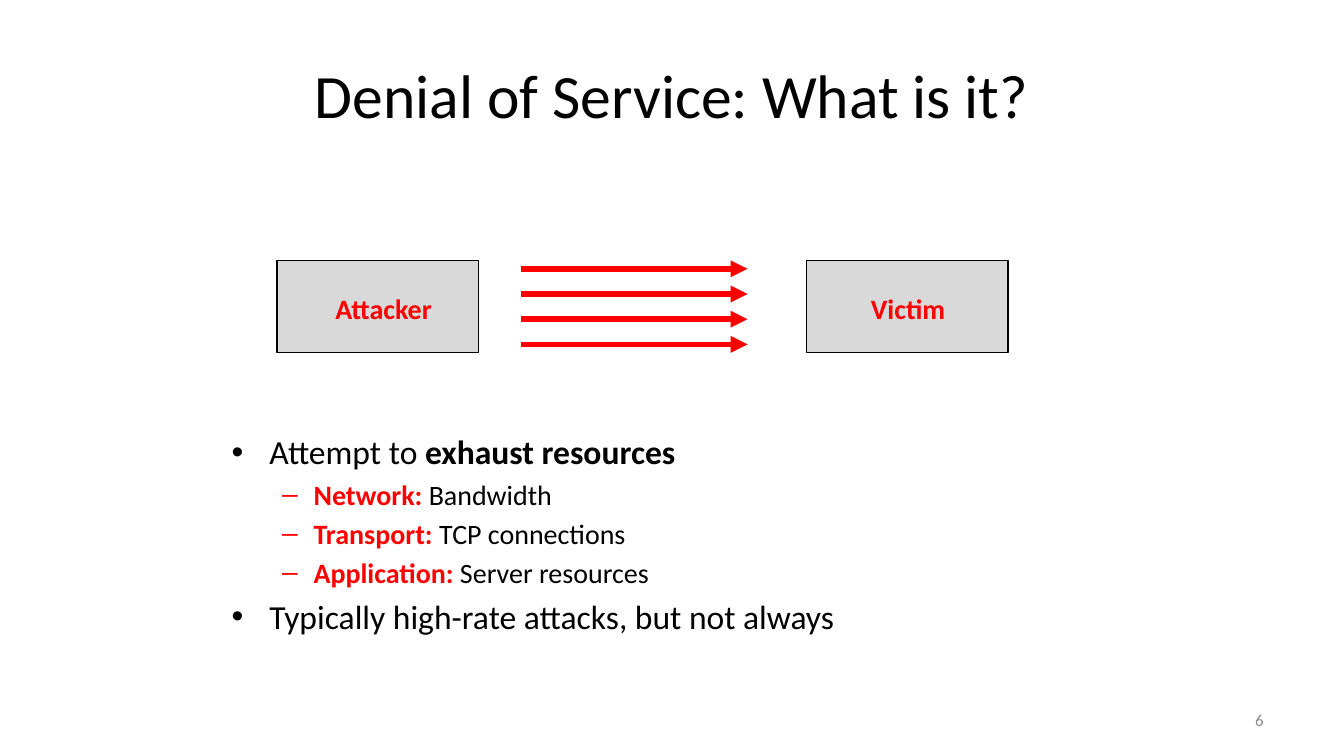
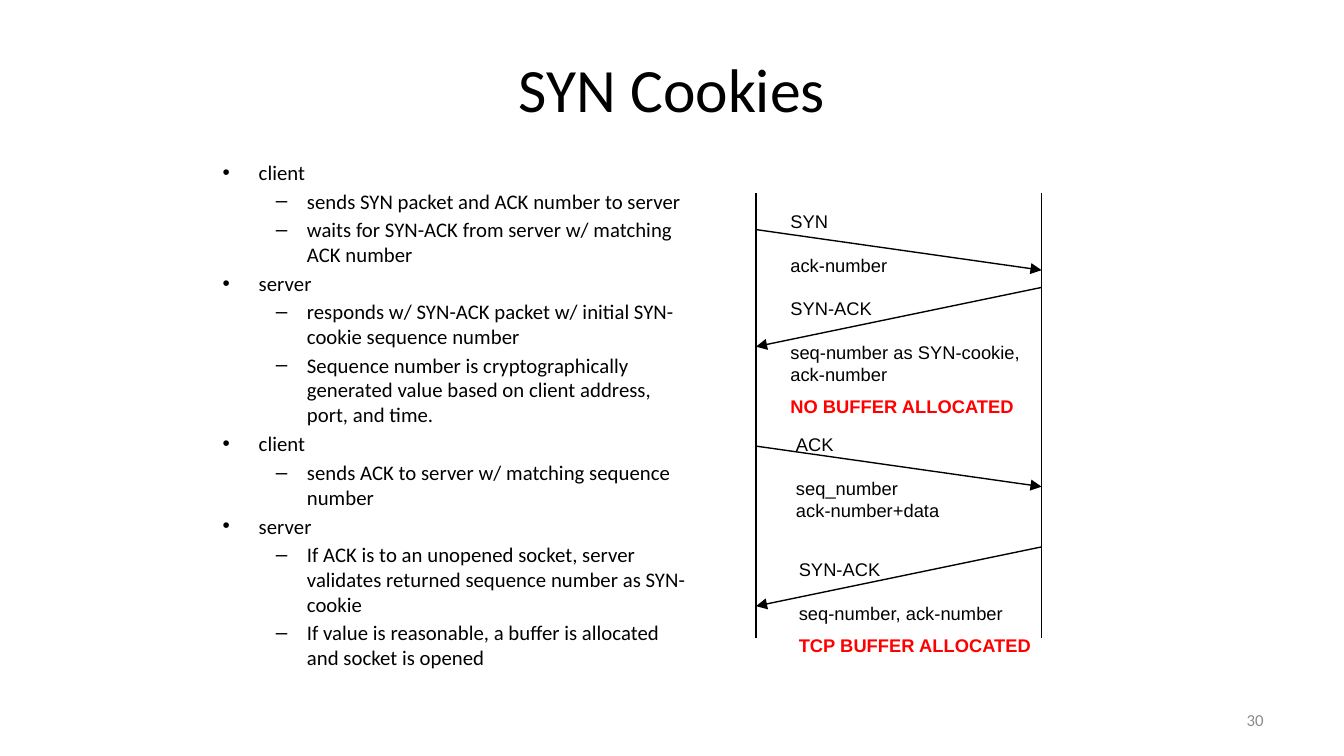
from dataclasses import dataclass
from typing import Optional

from lxml.etree import SubElement
from pptx import Presentation
from pptx.dml.color import RGBColor
from pptx.enum.shapes import MSO_CONNECTOR as Connector, MSO_SHAPE as Shape
from pptx.enum.text import MSO_ANCHOR as Anchor, PP_ALIGN as Align
from pptx.oxml.ns import qn
from pptx.util import Pt

BLACK = RGBColor(0, 0, 0)
WHITE = RGBColor(255, 255, 255)
RED = RGBColor(255, 0, 0)
LIGHT_GRAY = RGBColor(0xD9, 0xD9, 0xD9)
NUMBER_GRAY = RGBColor(0x8C, 0x8C, 0x8C)

BODY_FONT = "Calibri"
DIAGRAM_FONT = "Arial"
WIDE_INSETS = (7.2, 3.6)
TIGHT_INSETS = (5.4, 2.7)


@dataclass
class Run:
    text: str
    color: RGBColor = BLACK
    bold: bool = False


@dataclass
class Line:
    runs: list
    size: float
    before: float = 0
    spacing: Optional[float] = None
    bullet: Optional[str] = None
    margin: float = 0
    hanging: float = 0


@dataclass
class BulletStyle:
    size: float
    before: float
    bullet: str
    margin: float
    hanging: float

    def line(self, *runs):
        return Line(list(runs), self.size, self.before, bullet=self.bullet,
                    margin=self.margin, hanging=self.hanging)


def set_bullet(paragraph, line):
    properties = paragraph._p.get_or_add_pPr()
    properties.set("marL", str(Pt(line.margin)))
    properties.set("indent", str(-Pt(line.hanging)))
    SubElement(properties, qn("a:buFont")).set("typeface", "Arial")
    SubElement(properties, qn("a:buChar")).set("char", line.bullet)


def write_text(shape, lines, font=BODY_FONT, align=Align.LEFT,
               anchor=Anchor.TOP, insets=WIDE_INSETS):
    frame = shape.text_frame
    frame.word_wrap = True
    frame.vertical_anchor = anchor
    frame.margin_left = frame.margin_right = Pt(insets[0])
    frame.margin_top = frame.margin_bottom = Pt(insets[1])
    for index, line in enumerate(lines):
        paragraph = frame.add_paragraph() if index else frame.paragraphs[0]
        paragraph.alignment = align
        paragraph.space_before = Pt(line.before)
        if line.spacing:
            paragraph.line_spacing = line.spacing
        if line.bullet:
            set_bullet(paragraph, line)
        for part in line.runs:
            run = paragraph.add_run()
            run.text = part.text
            run.font.name = font
            run.font.size = Pt(line.size)
            run.font.bold = part.bold
            run.font.color.rgb = part.color


def add_text(slide, box, lines, **text_format):
    shape = slide.shapes.add_textbox(*map(Pt, box))
    write_text(shape, lines, **text_format)


def add_rectangle(slide, box, outline=None):
    shape = slide.shapes.add_shape(Shape.RECTANGLE, *map(Pt, box))
    shape.shadow.inherit = False
    shape.fill.solid()
    shape.fill.fore_color.rgb = LIGHT_GRAY
    if outline is None:
        shape.line.fill.background()
    else:
        shape.line.color.rgb = outline
        shape.line.width = Pt(0.75)
    return shape


def add_host(slide, left, name, label_left, label_width, align):
    add_rectangle(slide, (left, 139.5, 108, 49.5), outline=BLACK)
    label = add_rectangle(slide, (label_left, 152.5, label_width, 25))
    write_text(label, [Line([Run(name, RED, True)], 15)], align=align)


def add_line(slide, start, end, color=BLACK, width=0.75, arrow=False):
    connector = slide.shapes.add_connector(
        Connector.STRAIGHT, *map(Pt, start + end))
    connector.line.color.rgb = color
    connector.line.width = Pt(width)
    if arrow:
        outline = connector.line._get_or_add_ln()
        SubElement(outline, qn("a:tailEnd")).set("type", "triangle")
    SubElement(connector._element.spPr, qn("a:effectLst"))


def add_slide(presentation, title, number, title_box, insets=WIDE_INSETS):
    slide = presentation.slides.add_slide(presentation.slide_layouts[6])
    slide.background.fill.solid()
    slide.background.fill.fore_color.rgb = WHITE
    add_text(slide, (516, 375, 168, 21.5),
             [Line([Run(number, NUMBER_GRAY)], 9)],
             align=Align.RIGHT, anchor=Anchor.MIDDLE)
    add_text(slide, title_box, [Line([Run(title)], 33)],
             align=Align.CENTER, anchor=Anchor.MIDDLE, insets=insets)
    return slide


def add_message_label(slide, box, packet, fields, note=None):
    size = 9.8
    lines = [Line([Run(packet)], size, spacing=0.93)]
    for index, field in enumerate(fields):
        lines.append(Line([Run(field)], size, before=0 if index else 11.5))
    if note:
        lines.append(Line([Run(note, RED, True)], size, before=5.3))
    add_text(slide, box, lines, font=DIAGRAM_FONT, insets=TIGHT_INSETS)


def build_denial_of_service(presentation):
    slide = add_slide(presentation, "Denial of Service: What is it?", "6",
                      (36, 16.5, 648, 67.5))
    point = BulletStyle(18, 3.6, "•", 20.25, 20.25)
    detail = BulletStyle(15, 3, "–", 43.9, 16.9)
    layers = [("Network:", " Bandwidth"),
              ("Transport:", " TCP connections"),
              ("Application:", " Server resources")]
    lines = [point.line(Run("Attempt to "), Run("exhaust resources", bold=True))]
    lines += [detail.line(Run(layer, RED, True), Run(resource))
              for layer, resource in layers]
    lines.append(point.line(Run("Typically high-rate attacks, but not always")))
    add_text(slide, (117, 227.5, 486, 123), lines)

    add_host(slide, 148.5, "Attacker", 166.5, 78, Align.CENTER)
    add_host(slide, 432, "Victim", 459.5, 69, Align.LEFT)
    for index in range(4):
        top = 144 + 13.5 * index
        add_line(slide, (279, top), (400.5, top), RED, 3, arrow=True)


def build_syn_cookies(presentation):
    slide = add_slide(presentation, "SYN Cookies", "30",
                      (130.5, 13.5, 459, 67.5), TIGHT_INSETS)
    party = BulletStyle(11.1, 2.2, "•", 25.2, 19.4)
    step = BulletStyle(11.1, 1.9, "–", 51, 16.6)
    exchange = [
        ("client", ["sends SYN packet and ACK number to server",
                    "waits for SYN-ACK from server w/ matching ACK number"]),
        ("server", ["responds w/ SYN-ACK packet w/ initial SYN-cookie "
                    "sequence number",
                    "Sequence number is cryptographically generated value "
                    "based on client address, port, and time."]),
        ("client", ["sends ACK to server w/ matching sequence number"]),
        ("server", ["If ACK is to an unopened socket, server validates "
                    "returned sequence number as SYN-cookie",
                    "If value is reasonable, a buffer is allocated and "
                    "socket is opened"]),
    ]
    lines = []
    for name, steps in exchange:
        lines.append(party.line(Run(name)))
        lines += [step.line(Run(text)) for text in steps]
    add_text(slide, (108, 83, 270, 281.5), lines, insets=TIGHT_INSETS)

    client, server = 405, 558
    for lifeline in (client, server):
        add_line(slide, (lifeline, 103.5), (lifeline, 342))
    for sender, sent, receiver, received in [
            (client, 123, server, 144.75), (server, 154, client, 185.75),
            (client, 239, server, 260.75), (server, 293, client, 324.75)]:
        add_line(slide, (sender, sent), (receiver, received), arrow=True)

    add_message_label(slide, (418, 111, 68, 39.5), "SYN", ["ack-number"])
    add_message_label(slide, (418, 157.5, 140, 68.5), "SYN-ACK",
                      ["seq-number as SYN-cookie,", "ack-number"],
                      "NO BUFFER ALLOCATED")
    add_message_label(slide, (421, 230.5, 104.5, 52), "ACK",
                      ["seq_number", "ack-number+data"])
    add_message_label(slide, (422.5, 297.5, 140, 57), "SYN-ACK",
                      ["seq-number, ack-number"], "TCP BUFFER ALLOCATED")


def main():
    presentation = Presentation()
    presentation.slide_width = Pt(720)
    presentation.slide_height = Pt(405)
    build_denial_of_service(presentation)
    build_syn_cookies(presentation)
    presentation.save("out.pptx")


if __name__ == "__main__":
    main()
